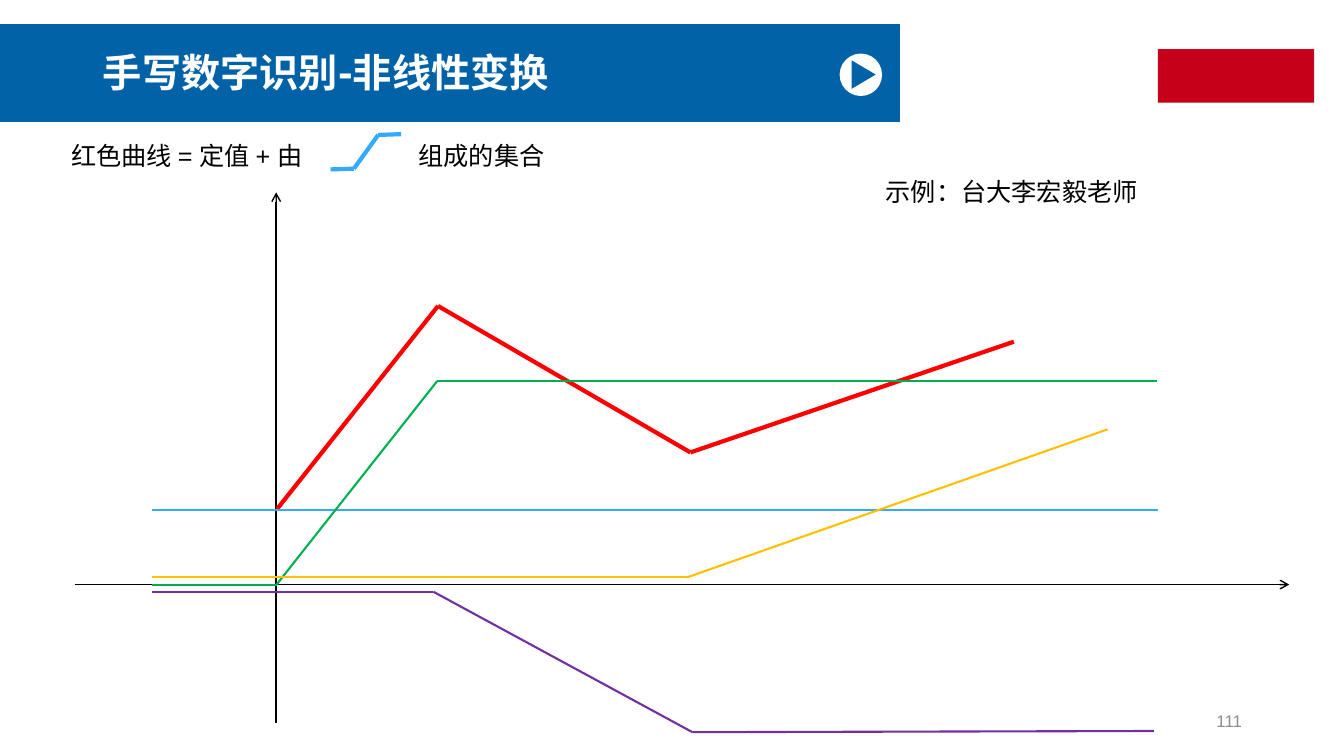
"""Build the slide on non-linear transforms for handwritten digits."""
from dataclasses import dataclass
from itertools import pairwise

from lxml.etree import SubElement
from pptx import Presentation
from pptx.dml.color import RGBColor
from pptx.enum.shapes import MSO_CONNECTOR, MSO_SHAPE
from pptx.enum.text import MSO_ANCHOR, MSO_AUTO_SIZE, PP_ALIGN
from pptx.oxml.ns import qn
from pptx.shapes.autoshape import Shape
from pptx.slide import Slide
from pptx.text.text import TextFrame
from pptx.util import Cm, Pt

LINE = MSO_CONNECTOR.STRAIGHT
RECT = MSO_SHAPE.RECTANGLE
OVAL = MSO_SHAPE.OVAL
LEFT = PP_ALIGN.LEFT
RIGHT = PP_ALIGN.RIGHT
TOP = MSO_ANCHOR.TOP
MIDDLE = MSO_ANCHOR.MIDDLE
FIXED = MSO_AUTO_SIZE.NONE

Point = tuple[float, float]
Box = tuple[float, float, float, float]


@dataclass(frozen=True)
class Theme:
    band: str = "0162A7"
    white: str = "FFFFFF"
    black: str = "000000"
    grey: str = "8C8C8C"
    crimson: str = "C70019"
    red: str = "FF0000"
    sky: str = "33AAFE"
    green: str = "00B050"
    purple: str = "7030A0"
    gold: str = "FFC000"
    head: str = "Montserrat"
    body: str = "Arial"
    large: int = 28
    normal: int = 18
    small: int = 12
    thin: float = 1
    medium: float = 1.5
    thick: float = 3


THEME = Theme()


@dataclass(frozen=True)
class Curve:
    points: tuple[Point, ...]
    color: str
    width: float = THEME.medium
    arrow: bool = False


@dataclass(frozen=True)
class Label:
    text: str
    box: Box
    color: str = THEME.black
    size: int = THEME.normal
    font: str = THEME.body
    bold: bool = False
    align: PP_ALIGN = LEFT
    anchor: MSO_ANCHOR = TOP
    tab: float = 0


LEVEL = 14.73
START = 3.84
AXES = (
    Curve(((1.88, LEVEL), (32.49, LEVEL)), THEME.black, THEME.thin, True),
    Curve(((6.96, 18.21), (6.96, 4.85)), THEME.black, THEME.thin, True),
)
CURVES = (
    Curve(((6.98, 12.83), (11.04, 7.71), (17.4, 11.4), (25.55, 8.61)),
          THEME.red, THEME.thick),
    Curve(((8.33, 4.27), (8.92, 4.25), (9.53, 3.4), (10.11, 3.38)),
          THEME.sky, THEME.thick),
    Curve(((START, 12.85), (29.18, 12.85)), THEME.sky),
    Curve(((START, LEVEL), (6.97, LEVEL), (11.02, 9.6), (29.16, 9.6)),
          THEME.green),
    Curve(((START, 14.91), (10.92, 14.91), (17.45, 18.45), (29.08, 18.42)),
          THEME.purple),
    Curve(((START, 14.55), (17.31, 14.55), (27.91, 10.82)), THEME.gold),
)
TITLE = Label("手写数字识别-非线性变换", (2.34, 1.09, 19.02, 1.6), THEME.white,
              THEME.large, THEME.head, True, anchor=MIDDLE)
LABELS = (
    Label("红色曲线 = 定值 + 由\t组成的集合", (1.55, 3.4, 15.82, 1.02), tab=8.75),
    Label("示例：台大李宏毅老师", (22.07, 4.32, 11.28, 1.02)),
    Label("111", (23.93, 17.65, 7.62, 1.02), THEME.grey, THEME.small,
          align=RIGHT, anchor=MIDDLE),
)
PLAY = ((21.46, 1.52), (21.46, 2.24), (22.07, 1.88))


def paint(shape: Shape, color: str) -> None:
    """Give a shape a flat fill without line or shadow."""
    shape.shadow.inherit = False
    shape.fill.solid()
    shape.fill.fore_color.rgb = RGBColor.from_string(color)
    shape.line.fill.background()


def block(slide: Slide, kind: MSO_SHAPE, box: Box, color: str) -> None:
    """Add a plain preset shape."""
    paint(slide.shapes.add_shape(kind, *map(Cm, box)), color)


def outline(slide: Slide, points: tuple[Point, ...], color: str) -> None:
    """Add a closed, filled polygon."""
    first, *rest = [(Cm(x), Cm(y)) for x, y in points]
    pen = slide.shapes.build_freeform(*first)
    pen.add_line_segments(rest)
    paint(pen.convert_to_shape(), color)


def trace(slide: Slide, curve: Curve) -> None:
    """Draw a curve as a chain of straight lines."""
    for start, end in pairwise(curve.points):
        link = slide.shapes.add_connector(LINE, *map(Cm, start + end))
        link.line.color.rgb = RGBColor.from_string(curve.color)
        link.line.width = Pt(curve.width)
        props = link.element.spPr
        if curve.arrow:
            SubElement(props.find(qn("a:ln")), qn("a:tailEnd"), type="arrow")
        SubElement(props, qn("a:effectLst"))


def write(frame: TextFrame, label: Label) -> None:
    """Fill a text frame with one formatted paragraph."""
    frame.word_wrap = True
    frame.auto_size = FIXED
    frame.vertical_anchor = label.anchor
    para = frame.paragraphs[0]
    para.text = label.text
    para.alignment = label.align
    if label.tab:
        tabs = SubElement(para._p.get_or_add_pPr(), qn("a:tabLst"))
        SubElement(tabs, qn("a:tab"), pos=str(Cm(label.tab)), algn="l")
    font = para.font
    font.name = label.font
    font.size = Pt(label.size)
    font.bold = label.bold
    font.color.rgb = RGBColor.from_string(label.color)


def head(slide: Slide) -> None:
    """Draw the banner and set the title over it."""
    block(slide, RECT, (0, 0.61, 22.68, 2.46), THEME.band)
    block(slide, OVAL, (21.16, 1.35, 1.07, 1.07), THEME.white)
    outline(slide, PLAY, THEME.band)
    block(slide, RECT, (29.18, 1.24, 3.94, 1.35), THEME.crimson)
    title = slide.shapes.title
    title.left, title.top, title.width, title.height = map(Cm, TITLE.box)
    write(title.text_frame, TITLE)
    title.text_frame.paragraphs[0].line_spacing = 0.9
    title.element.getparent().append(title.element)


def main() -> None:
    """Build and save the deck."""
    deck = Presentation()
    deck.slide_width, deck.slide_height = Cm(33.87), Cm(19.05)
    slide = deck.slides.add_slide(deck.slide_layouts[5])
    head(slide)
    for curve in AXES + CURVES:
        trace(slide, curve)
    for label in LABELS:
        box = slide.shapes.add_textbox(*map(Cm, label.box))
        write(box.text_frame, label)
    deck.save("out.pptx")


if __name__ == "__main__":
    main()
